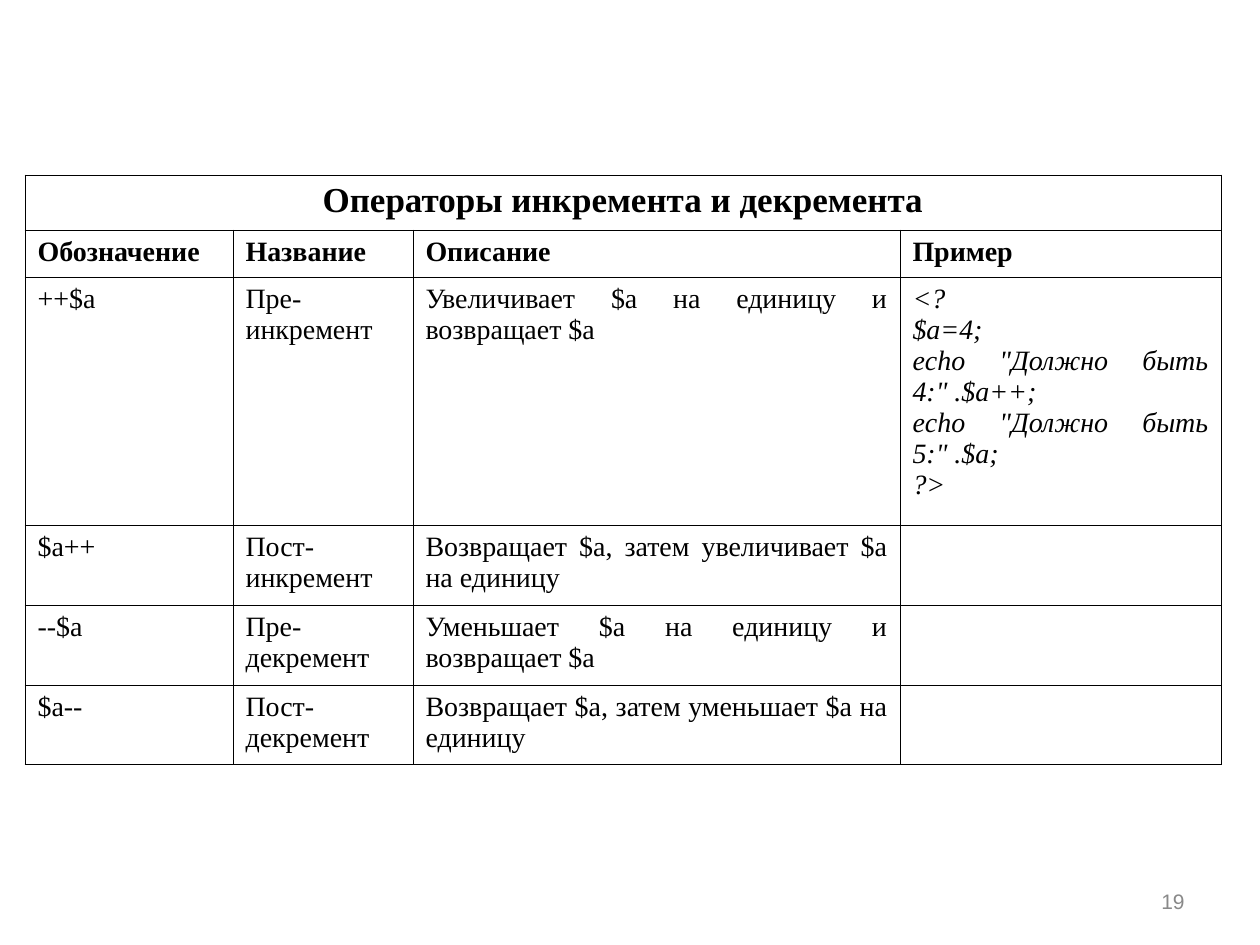
from lxml import etree
from pptx import Presentation
from pptx.dml.color import RGBColor
from pptx.enum.text import MSO_ANCHOR, PP_ALIGN
from pptx.oxml.ns import qn
from pptx.util import Pt

CENTER, RIGHT, JUSTIFY = PP_ALIGN.CENTER, PP_ALIGN.RIGHT, PP_ALIGN.JUSTIFY
MIDDLE = MSO_ANCHOR.MIDDLE
COLORS = {"ink": "000000", "paper": "FFFFFF", "number": "898989"}


def px(length):
    return round(length * 914400 / 126)


def write(frame, text, size=16, font="Times New Roman", color="ink",
          bold=False, italic=False, align=JUSTIFY):
    frame.word_wrap = True
    for index, line in enumerate(text.split("\n")):
        paragraph = frame.add_paragraph() if index else frame.paragraphs[0]
        paragraph.alignment = align
        run = paragraph.add_run()
        run.text = line
        run.font.size = Pt(size)
        run.font.name = font
        run.font.bold = bold
        run.font.italic = italic
        run.font.color.rgb = RGBColor.from_string(COLORS[color])


presentation = Presentation()
presentation.slide_width = px(1260)
presentation.slide_height = px(945)
slide = presentation.slides.add_slide(presentation.slide_layouts[6])

page_number = slide.shapes.add_textbox(px(903), px(876), px(294), px(50)).text_frame
page_number.vertical_anchor = MIDDLE
write(page_number, "19", size=12, font="Arial", color="number", align=RIGHT)

example = """<?
$a=4;
echo "Должно быть 4:" .$a++;
echo "Должно быть 5:" .$a;
?>"""
rows = [
    ["Операторы инкремента и декремента", "", "", ""],
    ["Обозначение", "Название", "Описание", "Пример"],
    ["++$a", "Пре-инкремент", "Увеличивает $a на единицу и возвращает $a", example],
    ["$a++", "Пост-инкремент", "Возвращает $a, затем увеличивает $a на единицу", ""],
    ["--$a", "Пре-декремент", "Уменьшает $a на единицу и возвращает $a", ""],
    ["$a--", "Пост-декремент", "Возвращает $a, затем уменьшает $a на единицу", ""],
]
column_widths = [208, 180, 487, 321]
row_heights = [55, 47, 248, 80, 80, 80]

operators = slide.shapes.add_table(
    len(rows), len(column_widths), px(25), px(175),
    px(sum(column_widths)), px(sum(row_heights))).table
operators.first_row = False
operators.horz_banding = False
for column, width in zip(operators.columns, column_widths):
    column.width = px(width)
for row, height in zip(operators.rows, row_heights):
    row.height = px(height)
operators.cell(0, 0).merge(operators.cell(0, 3))

for row_index, texts in enumerate(rows):
    for column_index, text in enumerate(texts):
        cell = operators.cell(row_index, column_index)
        cell.fill.solid()
        cell.fill.fore_color.rgb = RGBColor.from_string(COLORS["paper"])
        properties = cell._tc.get_or_add_tcPr()
        for position, side in enumerate(["lnL", "lnR", "lnT", "lnB"]):
            border = etree.Element(qn(f"a:{side}"), w=str(Pt(0.45)))
            border_fill = etree.SubElement(border, qn("a:solidFill"))
            etree.SubElement(border_fill, qn("a:srgbClr"), val=COLORS["ink"])
            properties.insert(position, border)
        if text:
            write(cell.text_frame, text,
                  size=20 if row_index == 0 else 16,
                  bold=row_index < 2,
                  italic=text == example,
                  align=CENTER if row_index == 0 else JUSTIFY)

presentation.save("out.pptx")
